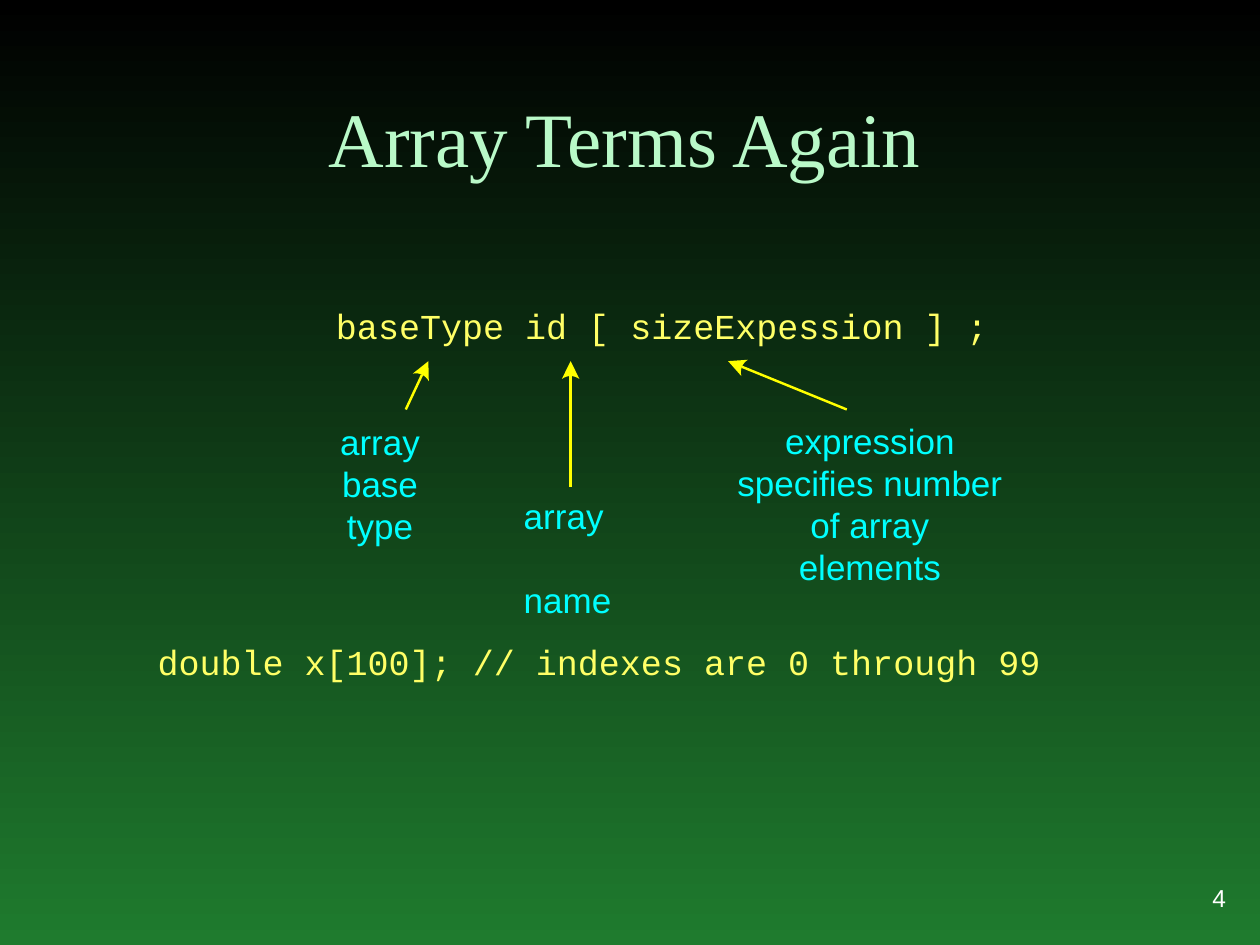
import math
from dataclasses import dataclass

from lxml import etree
from pptx import Presentation
from pptx.dml.color import RGBColor
from pptx.enum import shapes, text
from pptx.oxml import ns
from pptx.util import Inches, Pt

COLUMNS, ROWS = 120, 90
LEFT, CENTER, RIGHT = text.PP_ALIGN.LEFT, text.PP_ALIGN.CENTER, text.PP_ALIGN.RIGHT
TOP, MIDDLE, BOTTOM = text.MSO_ANCHOR.TOP, text.MSO_ANCHOR.MIDDLE, text.MSO_ANCHOR.BOTTOM
CYAN, YELLOW, PALE_YELLOW = "00FFFF", "FFFF00", "FFFF66"
HEAD_LENGTH, HEAD_HALF_WIDTH, HEAD_NOTCH = 1.7, 0.84, 1.42


@dataclass
class Label:
    words: str
    col: float
    row: float
    cols: float
    rows: float
    color: str
    font: str = "Arial"
    size: int = 20
    align: text.PP_ALIGN = LEFT
    anchor: text.MSO_ANCHOR = TOP
    padded: bool = False
    wrap: bool = False
    leading: int = 24
    gap: int = 0


@dataclass
class Arrow:
    from_col: float
    from_row: float
    to_col: float
    to_row: float


LABELS = [
    Label("Array Terms Again", 8, 3, 103, 15, "B9F9C8", "Times New Roman", 44,
          CENTER, BOTTOM, padded=True, wrap=True, leading=0),
    Label("baseType id [ sizeExpession ] ;", 32, 29, 66.6, 4, PALE_YELLOW, "Courier New"),
    Label("array\nbase\ntype", 29, 40.04, 14.4, 12, CYAN, align=CENTER),
    Label("array\nname", 49.88, 47.1, 8.5, 12, CYAN, gap=24),
    Label("expression\nspecifies number\nof array\nelements", 70, 39.96, 25.7, 16, CYAN, align=CENTER),
    Label("double x[100]; // indexes are 0 through 99", 15, 61, 84.8, 4, PALE_YELLOW, "Courier New"),
    Label("4", 101.95, 82, 16, 7, "FFFFFF", size=14, align=RIGHT, anchor=MIDDLE,
          padded=True, wrap=True, leading=0),
]

ARROWS = [
    Arrow(38.65, 39, 40.8, 34.4),
    Arrow(54.35, 46.4, 54.35, 34.4),
    Arrow(80.65, 39, 69.35, 34.4),
]


def rgb(color: str) -> RGBColor:
    return RGBColor.from_string(color)


def x(prs, col: float) -> int:
    return round(prs.slide_width * col / COLUMNS)


def y(prs, row: float) -> int:
    return round(prs.slide_height * row / ROWS)


def draw_background(s, top: str, bottom: str) -> None:
    fill = s.background.fill
    fill.gradient()
    fill.gradient_angle = 270
    for stop, color in zip(fill.gradient_stops, (top, bottom)):
        stop.color.rgb = rgb(color)


def draw_label(prs, s, label: Label) -> None:
    sp = s.shapes.add_textbox(x(prs, label.col), y(prs, label.row),
                              x(prs, label.cols), y(prs, label.rows))
    tf = sp.text_frame
    tf.word_wrap = label.wrap
    tf.vertical_anchor = label.anchor
    if not label.padded:
        tf.margin_left = tf.margin_right = tf.margin_top = tf.margin_bottom = 0
    tf.text = label.words
    for i, p in enumerate(tf.paragraphs):
        p.alignment = label.align
        if label.leading:
            p.line_spacing = Pt(label.leading)
        if i and label.gap:
            p.space_before = Pt(label.gap)
        for r in p.runs:
            r.font.name = label.font
            r.font.size = Pt(label.size)
            r.font.color.rgb = rgb(label.color)


def draw_arrow(prs, s, arrow: Arrow) -> None:
    dx, dy = arrow.from_col - arrow.to_col, arrow.from_row - arrow.to_row
    length = math.hypot(dx, dy)
    ux, uy = dx / length, dy / length

    def point(back: float, side: float) -> tuple[int, int]:
        return (x(prs, arrow.to_col + back * ux - side * uy),
                y(prs, arrow.to_row + back * uy + side * ux))

    cxn = s.shapes.add_connector(shapes.MSO_CONNECTOR.STRAIGHT,
                                 *point(length, 0), *point(HEAD_NOTCH, 0))
    cxn.line.color.rgb = rgb(YELLOW)
    cxn.line.width = Pt(1.38)
    etree.SubElement(cxn._element.spPr, ns.qn("a:effectLst"))

    shares = [step / 4 for step in range(-4, 5)]
    rim = [point(HEAD_NOTCH + (HEAD_LENGTH - HEAD_NOTCH) * share ** 2,
                 HEAD_HALF_WIDTH * share) for share in shares]
    builder = s.shapes.build_freeform(*point(0, 0))
    builder.add_line_segments(rim, close=True)
    head = builder.convert_to_shape()
    head.shadow.inherit = False
    head.fill.solid()
    head.fill.fore_color.rgb = rgb(YELLOW)
    head.line.fill.background()


def main() -> None:
    prs = Presentation()
    prs.slide_width, prs.slide_height = Inches(10), Inches(7.5)
    s = prs.slides.add_slide(prs.slide_layouts[6])
    draw_background(s, "000000", "1F7B2E")
    for label in LABELS:
        draw_label(prs, s, label)
    for arrow in ARROWS:
        draw_arrow(prs, s, arrow)
    prs.save("out.pptx")


if __name__ == "__main__":
    main()
